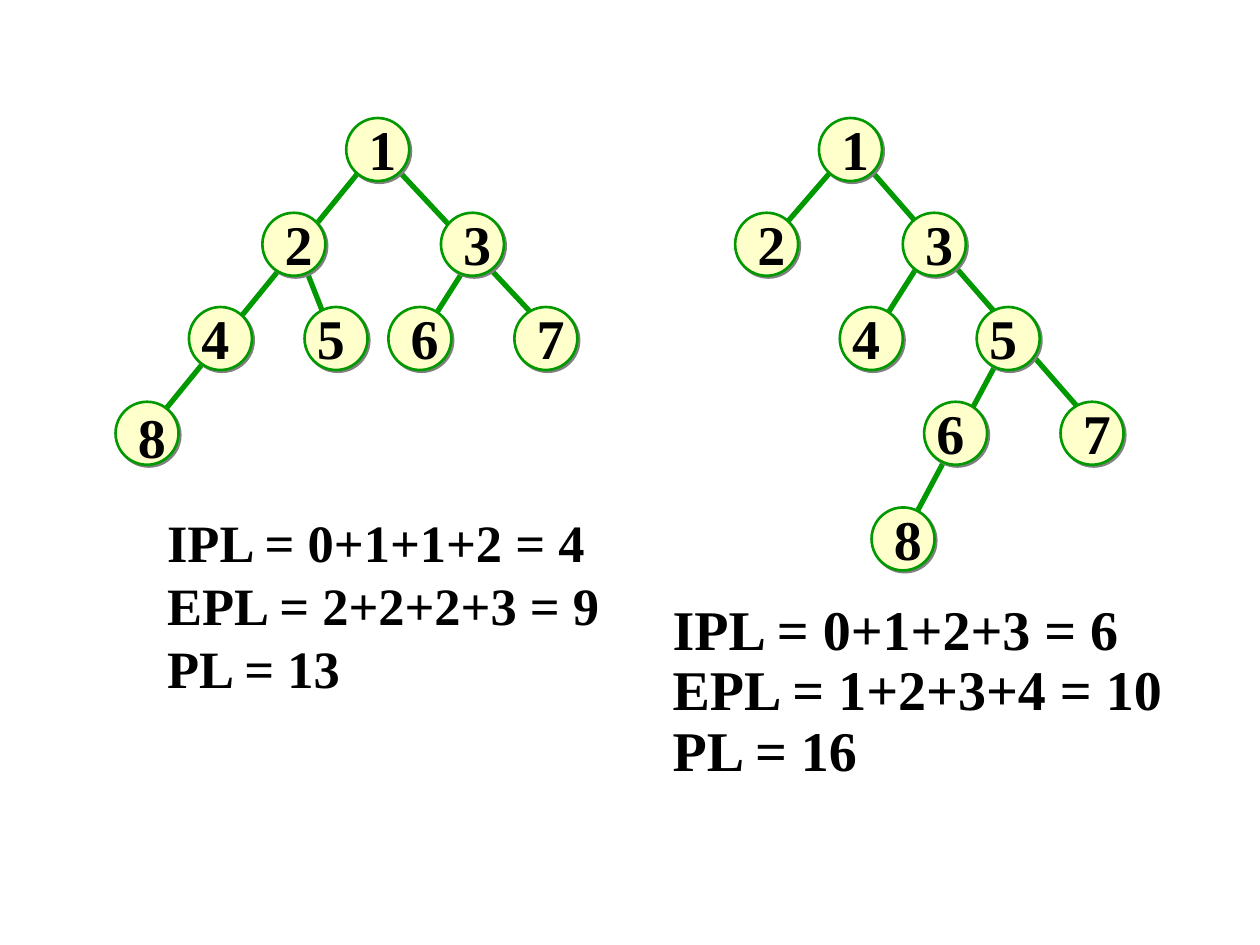
from lxml import etree
from pptx import Presentation
from pptx.dml.color import RGBColor
from pptx.enum.shapes import MSO_CONNECTOR, MSO_SHAPE
from pptx.enum.text import MSO_ANCHOR, PP_ALIGN
from pptx.oxml import parse_xml
from pptx.oxml.ns import nsdecls, qn
from pptx.util import Cm, Pt

OVAL = MSO_SHAPE.OVAL
STRAIGHT = MSO_CONNECTOR.STRAIGHT
MIDDLE = MSO_ANCHOR.MIDDLE
LEFT, CENTER = PP_ALIGN.LEFT, PP_ALIGN.CENTER

FONT = "Times New Roman"
GREEN, CREAM, BLACK = "009900", "FFFFCC", "000000"
SHADOW = (
    f'<a:effectLst {nsdecls("a")}><a:outerShdw dist="17960" dir="2700000">'
    '<a:srgbClr val="808080"/></a:outerShdw></a:effectLst>'
)


def color(hex_code):
    return RGBColor.from_string(hex_code)


def add_text(shapes, box, lines, size, align=LEFT, spacing=1.0, wrap=True):
    frame = shapes.add_textbox(*[Cm(v) for v in box]).text_frame
    frame.word_wrap = wrap
    frame.vertical_anchor = MIDDLE
    for i, line in enumerate(lines):
        paragraph = frame.add_paragraph() if i else frame.paragraphs[0]
        paragraph.alignment = align
        paragraph.line_spacing = spacing
        run = paragraph.add_run()
        run.text = line
        run.font.name = FONT
        run.font.size = Pt(size)
        run.font.bold = True
        run.font.color.rgb = color(BLACK)


prs = Presentation()
prs.slide_width, prs.slide_height = Cm(25.4), Cm(19.05)
slide = prs.slides.add_slide(prs.slide_layouts[6])

# Vertical position of each tree level, node and label sizes, in cm
level_tops = [2.38, 4.29, 6.19, 8.1, 10.23]
node_size = 1.27
label_width, label_height = 1.5, 1.63
near, far = -0.02, -0.22  # label offsets from the left edge of a node

# Branches: x1, y1, x2, y2. Nodes: label, left, level, label offset
balanced_branches = [
    (9.53, 5.16, 8.47, 6.83),
    (6.14, 5.36, 6.56, 6.43),
    (8.04, 3.45, 11.01, 6.63),
    (7.41, 3.25, 2.75, 8.97),
]
balanced_nodes = [
    ("1", 6.98, 0, near), ("2", 5.29, 1, near), ("3", 8.89, 1, near),
    ("4", 3.81, 2, far), ("5", 6.14, 2, far), ("6", 7.83, 2, near),
    ("7", 10.37, 2, near), ("8", 2.33, 3, near),
]
skewed_branches = [
    (18.63, 5.16, 17.57, 6.83),
    (20.11, 7.28, 18.42, 10.44),
    (17.57, 3.45, 22.01, 8.53),
    (16.93, 3.25, 15.66, 4.72),
]
skewed_nodes = [
    ("1", 16.51, 0, near), ("2", 14.82, 1, near), ("3", 18.2, 1, near),
    ("4", 16.93, 2, far), ("5", 19.69, 2, far), ("6", 18.63, 3, far),
    ("7", 21.38, 3, near), ("8", 17.57, 4, near),
]

# Trees: branches behind, then nodes, then labels
for branches, nodes in (
    (balanced_branches, balanced_nodes),
    (skewed_branches, skewed_nodes),
):
    tree = slide.shapes.add_group_shape().shapes
    for ends in branches:
        branch = tree.add_connector(STRAIGHT, *[Cm(v) for v in ends])
        branch.line.color.rgb = color(GREEN)
        branch.line.width = Pt(3)
        etree.SubElement(branch._element.spPr, qn("a:effectLst"))

    for _, left, level, _ in nodes:
        node = tree.add_shape(
            OVAL, Cm(left), Cm(level_tops[level]), Cm(node_size), Cm(node_size)
        )
        node.fill.solid()
        node.fill.fore_color.rgb = color(CREAM)
        node.line.color.rgb = color(GREEN)
        node.line.width = Pt(1.5)
        node._element.spPr.append(parse_xml(SHADOW))

    for label, left, level, offset in nodes:
        # The 8 of the balanced tree sits slightly lower in its node
        lift = 0.12 if (label, level) == ("8", 3) else 0.2
        box = (left + offset, level_tops[level] - lift, label_width, label_height)
        add_text(tree, box, [label], 32, CENTER)

# Path lengths of each tree
add_text(
    slide.shapes, (3.12, 10.16, 9.27, 4.06),
    ["IPL = 0+1+1+2 = 4", "EPL = 2+2+2+3 = 9", "PL = 13"], 30, wrap=False,
)
add_text(
    slide.shapes, (13.31, 12.01, 10.44, 3.91),
    ["IPL = 0+1+2+3 = 6", "EPL = 1+2+3+4 = 10", "PL = 16"], 32,
    spacing=0.9, wrap=False,
)

prs.save("out.pptx")
